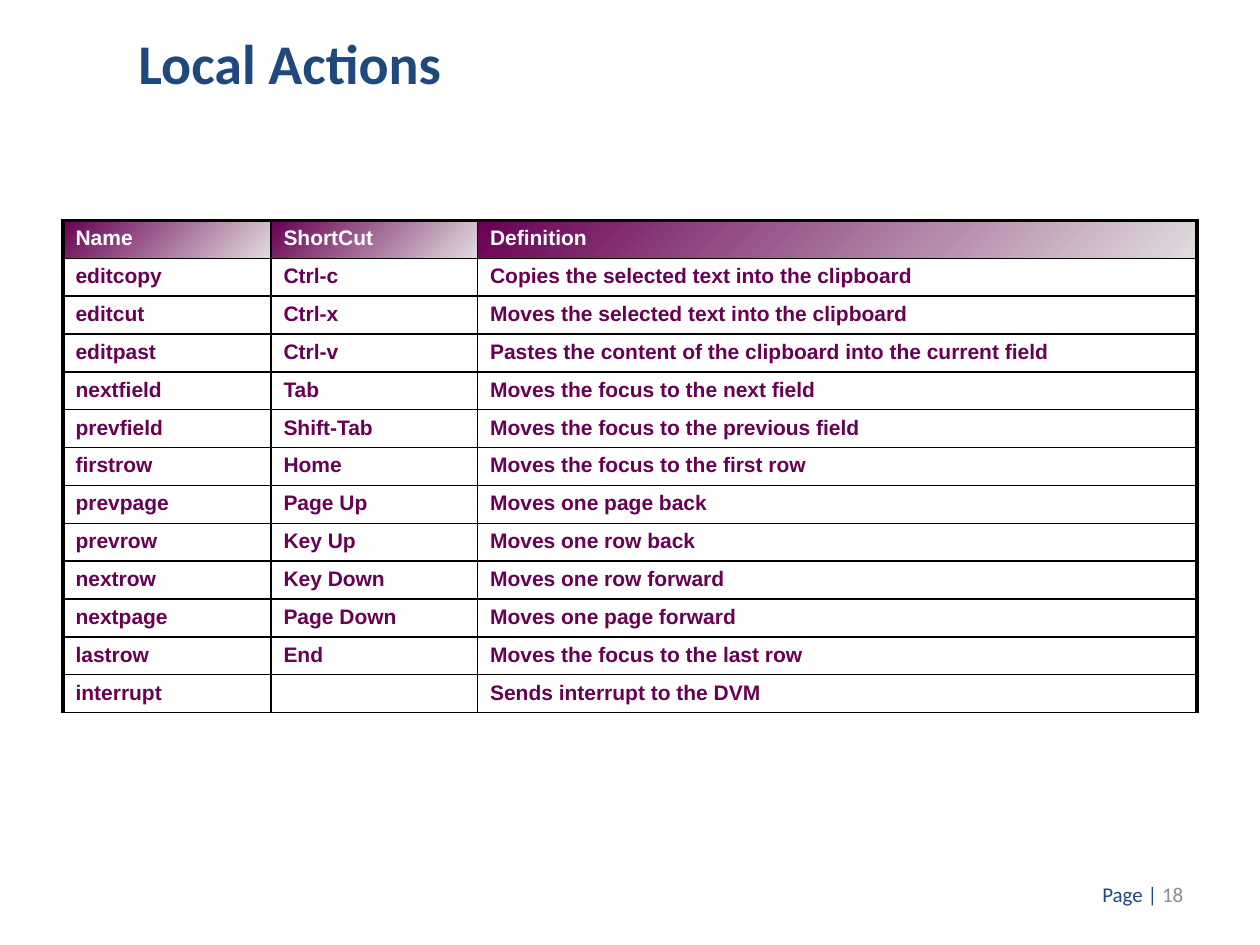
from lxml import etree
from pptx import Presentation
from pptx.dml.color import RGBColor
from pptx.enum import text
from pptx.oxml import ns
from pptx.util import Inches, Pt

NAVY = RGBColor(0x1F, 0x49, 0x7D)
GRAY = RGBColor(0x8C, 0x8C, 0x8C)
PLUM = RGBColor(0x69, 0x00, 0x53)
PALE = RGBColor(0xE1, 0xDC, 0xDF)
WHITE = RGBColor(0xFF, 0xFF, 0xFF)


def style(run, face, size, color, bold=False):
    font = run.font
    font.name, font.size, font.bold = face, Pt(size), bold
    font.color.rgb = color


def border(cell, side, width):
    props = cell._tc.get_or_add_tcPr()
    line = etree.SubElement(props, ns.qn("a:ln" + side), w=str(Pt(width)))
    fill = etree.SubElement(line, ns.qn("a:solidFill"))
    etree.SubElement(fill, ns.qn("a:srgbClr"), val="000000")


deck = Presentation()
deck.slide_width, deck.slide_height = Inches(10), Inches(7.5)
slide = deck.slides.add_slide(deck.slide_layouts[6])

# Page number
page = slide.shapes.add_textbox(Inches(7.16), Inches(6.9), Inches(2.33), Inches(0.4))
page.text_frame.word_wrap = True
page.text_frame.vertical_anchor = text.MSO_ANCHOR.MIDDLE
para = page.text_frame.paragraphs[0]
para.alignment = text.PP_ALIGN.RIGHT
for words, color in (("Page | ", NAVY), ("18", GRAY)):
    run = para.add_run()
    run.text = words
    style(run, "Calibri", 12, color)

# Title
title = slide.shapes.add_textbox(Inches(1), Inches(0.18), Inches(6.92), Inches(0.9))
title.text_frame.word_wrap = True
title.text_frame.text = "Local Actions"
style(title.text_frame.paragraphs[0].runs[0], "Calibri", 32, NAVY, True)

# Table of actions
rows = [
    ("Name", "ShortCut", "Definition"),
    ("editcopy", "Ctrl-c", "Copies the selected text into the clipboard"),
    ("editcut", "Ctrl-x", "Moves the selected text into the clipboard"),
    ("editpast", "Ctrl-v", "Pastes the content of the clipboard into the current field"),
    ("nextfield", "Tab", "Moves the focus to the next field"),
    ("prevfield", "Shift-Tab", "Moves the focus to the previous field"),
    ("firstrow", "Home", "Moves the focus to the first row"),
    ("prevpage", "Page Up", "Moves one page back"),
    ("prevrow", "Key Up", "Moves one row back"),
    ("nextrow", "Key Down", "Moves one row forward"),
    ("nextpage", "Page Down", "Moves one page forward"),
    ("lastrow", "End", "Moves the focus to the last row"),
    ("interrupt", "", "Sends interrupt to the DVM"),
]
widths = (1.65, 1.64, 5.71)
frame = slide.shapes.add_table(len(rows), len(widths), Inches(0.5), Inches(1.75),
                               Inches(9), Inches(3.9))
table = frame.table
table.first_row = table.horz_banding = False
for col, width in zip(table.columns, widths):
    col.width = Inches(width)
for row in table.rows:
    row.height = Inches(0.22)
frame.height = Inches(3.9)

for r, row in enumerate(rows):
    for c, words in enumerate(row):
        cell = table.cell(r, c)
        # Thick outer edge at left, right and top
        thick = {"L": c == 0, "R": c == len(widths) - 1, "T": r == 0, "B": False}
        for side, outer in thick.items():
            border(cell, side, 2.25 if outer else 1)

        # Gradient header, clear body
        if r == 0:
            cell.fill.gradient()
            cell.fill.gradient_angle = 315
            for stop, color, spot in zip(cell.fill.gradient_stops, (PLUM, PALE), (0, 1)):
                stop.color.rgb = color
                stop.position = spot
        else:
            cell.fill.background()

        para = cell.text_frame.paragraphs[0]
        if words:
            para.text = words
            style(para.runs[0], "Arial", 12, PLUM if r else WHITE, True)
        else:
            etree.SubElement(para._p, ns.qn("a:endParaRPr"), sz="1200")

deck.save("out.pptx")
